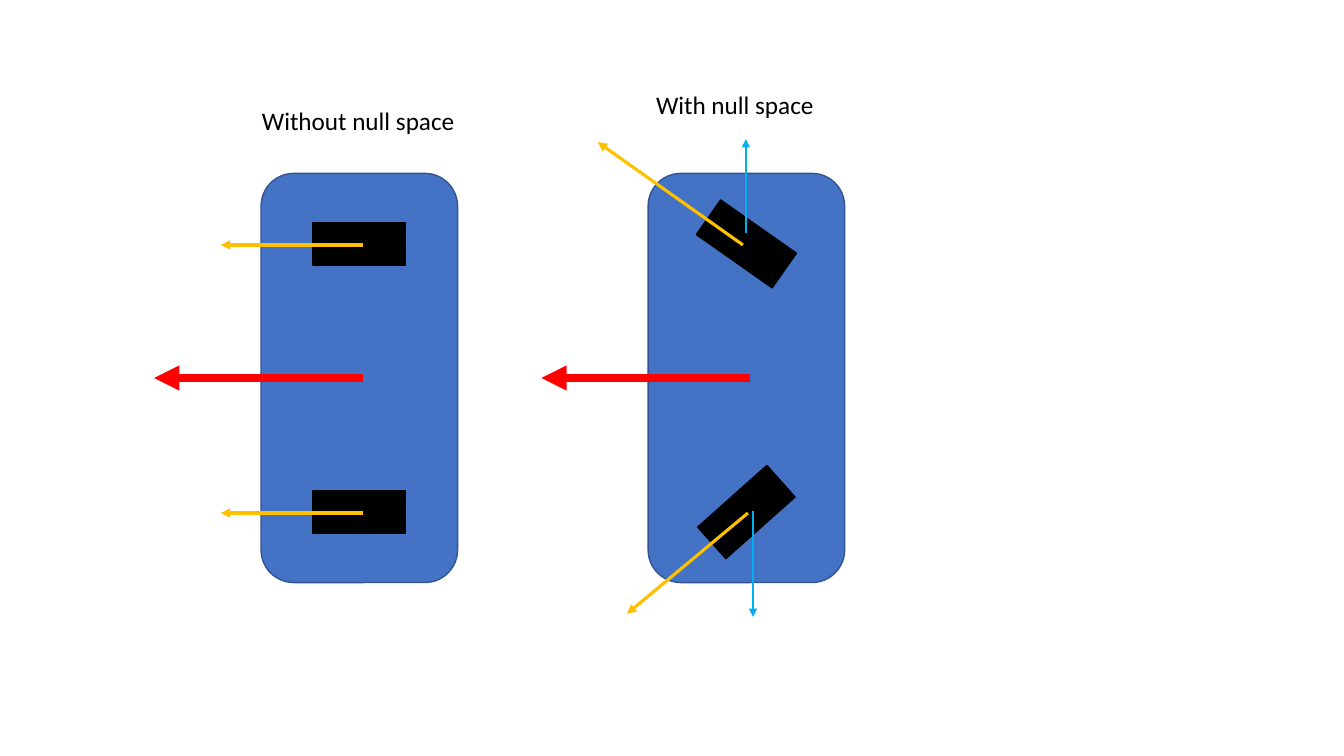
from lxml import etree
from pptx import Presentation, util as u
from pptx.dml.color import RGBColor
from pptx.enum import shapes, text
from pptx.oxml import ns

COLUMNS, ROWS = 160, 90
BODY_TOP, BODY_WIDTH, BODY_HEIGHT = 20.64, 23.4, 48.72
MIDDLE_ROW = BODY_TOP + BODY_HEIGHT / 2
WHEEL_INSET, WHEEL_WIDTH, WHEEL_HEIGHT = 6.18, 11.04, 5.04
AXLE_DISTANCE = 15.96
BLUE, DARK_BLUE, BLACK = "4472C4", "325491", "000000"
RED, YELLOW, CYAN = "FF0000", "FFC000", "00B0F0"


def color(value):
    return RGBColor.from_string(value)


class Diagram:
    font_name = "Calibri"
    font_size = 18

    def __init__(self, presentation):
        self.slide = presentation.slides.add_slide(presentation.slide_layouts[6])
        self.column = presentation.slide_width / COLUMNS
        self.row = presentation.slide_height / ROWS

    def place(self, *lengths):
        units = (self.column, self.row) * 2
        return [round(length * unit) for length, unit in zip(lengths, units)]

    def block(self, kind, box, fill, outline, rotation=0):
        shape = self.slide.shapes.add_shape(kind, *self.place(*box))
        shape.shadow.inherit = False
        shape.fill.solid()
        shape.fill.fore_color.rgb = color(fill)
        shape.line.color.rgb = color(outline)
        shape.line.width = u.Pt(1)
        shape.rotation = rotation

    def arrow(self, ends, stroke, width):
        connector = self.slide.shapes.add_connector(
            shapes.MSO_CONNECTOR.STRAIGHT, *self.place(*ends))
        connector.line.color.rgb = color(stroke)
        connector.line.width = u.Pt(width)
        etree.SubElement(connector.line._get_or_add_ln(), ns.qn("a:tailEnd"), type="triangle")
        etree.SubElement(connector._element.spPr, ns.qn("a:effectLst"))

    def label(self, wording, box):
        frame = self.slide.shapes.add_textbox(*self.place(*box)).text_frame
        frame.word_wrap = True
        frame.auto_size = text.MSO_AUTO_SIZE.SHAPE_TO_FIT_TEXT
        run = frame.paragraphs[0].add_run()
        run.text = wording
        run.font.name = self.font_name
        run.font.size = u.Pt(self.font_size)
        run.font.color.rgb = color(BLACK)

    def vehicle(self, left, rotations, arrows):
        self.block(shapes.MSO_SHAPE.ROUNDED_RECTANGLE,
                   (left, BODY_TOP, BODY_WIDTH, BODY_HEIGHT), BLUE, DARK_BLUE)
        for side, rotation in zip((-1, 1), rotations):
            top = MIDDLE_ROW + side * AXLE_DISTANCE - WHEEL_HEIGHT / 2
            self.block(shapes.MSO_SHAPE.RECTANGLE,
                       (left + WHEEL_INSET, top, WHEEL_WIDTH, WHEEL_HEIGHT),
                       BLACK, BLACK, rotation)
        travel = (12.12, MIDDLE_ROW, -12.72, MIDDLE_ROW)
        for ends, stroke, width in [(travel, RED, 6), *arrows]:
            start_x, start_y, end_x, end_y = ends
            self.arrow((left + start_x, start_y, left + end_x, end_y), stroke, width)


def main():
    presentation = Presentation()
    presentation.slide_width = u.Inches(13.33)
    presentation.slide_height = u.Inches(7.5)
    diagram = Diagram(presentation)
    diagram.vehicle(31.08, (0, 0), [
        ((12.12, 29.16, -4.8, 29.16), YELLOW, 2.25),
        ((12.12, 61.08, -4.8, 61.08), YELLOW, 2.25),
    ])
    diagram.vehicle(77.16, (35.1, 318.3), [
        ((11.28, 29.16, -6, 16.92), YELLOW, 2.25),
        ((11.88, 61.08, -2.52, 73.08), YELLOW, 2.25),
        ((11.64, 27.72, 11.64, 16.56), CYAN, 1.5),
        ((12.48, 60.84, 12.48, 73.44), CYAN, 1.5),
    ])
    diagram.label("Without null space", (30, 12, 25.68, 4.8))
    diagram.label("With null space", (76.92, 10.08, 25.68, 4.8))
    presentation.save("out.pptx")


if __name__ == "__main__":
    main()
